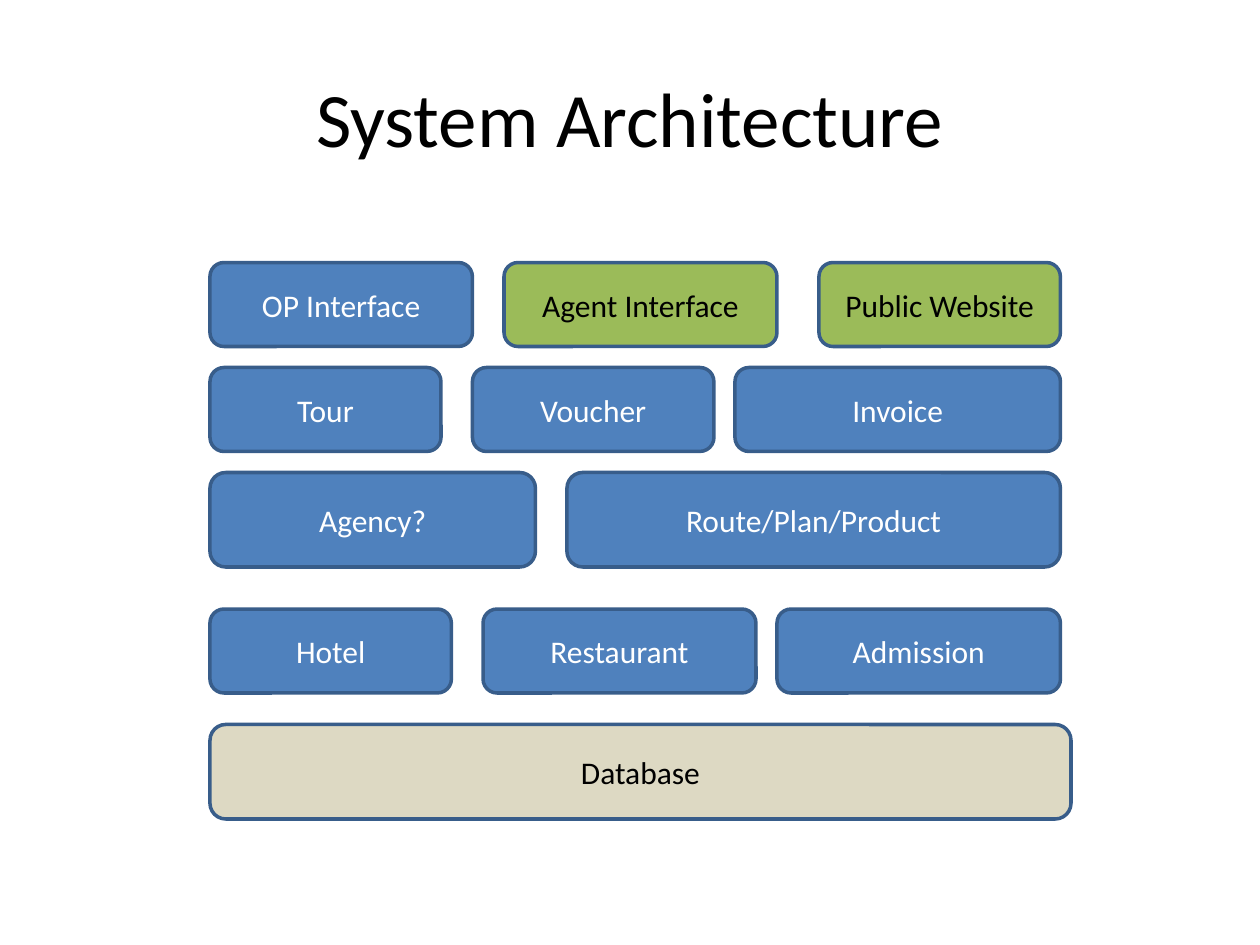
from pptx import Presentation
from pptx import util as u
from pptx.dml.color import RGBColor
from pptx.enum import shapes, text

BLUE = RGBColor(0x4F, 0x81, 0xBD)
GREEN = RGBColor(0x9B, 0xBB, 0x59)
TAN = RGBColor(0xDD, 0xD9, 0xC3)
OUTLINE = RGBColor(0x38, 0x5D, 0x8A)
BLACK = RGBColor(0, 0, 0)
WHITE = RGBColor(0xFF, 0xFF, 0xFF)

ROUNDED = shapes.MSO_SHAPE.ROUNDED_RECTANGLE
ALTERNATE = shapes.MSO_SHAPE.FLOWCHART_ALTERNATE_PROCESS

TITLE = "System Architecture"
LEFT = 120

# Layers from top to bottom: top, height, boxes as (label, gap before, width, fill)
LAYERS = [
    (150, 48, [("OP Interface", 0, 150, BLUE),
               ("Agent Interface", 18, 156, GREEN),
               ("Public Website", 24, 138, GREEN)]),
    (210, 48, [("Tour", 0, 132, BLUE),
               ("Voucher", 18, 138, BLUE),
               ("Invoice", 12, 186, BLUE)]),
    (270, 54, [("Agency?", 0, 186, BLUE),
               ("Route/Plan/Product", 18, 282, BLUE)]),
    (348, 48, [("Hotel", 0, 138, BLUE),
               ("Restaurant", 18, 156, BLUE),
               ("Admission", 12, 162, BLUE)]),
    (414, 54, [("Database", 0, 492, TAN)]),
]
SHAPE_KINDS = {"Agency?": ALTERNATE}


def write(shape, words, size=18, color=BLACK, font="Calibri"):
    frame = shape.text_frame
    frame.word_wrap = True
    frame.vertical_anchor = text.MSO_ANCHOR.MIDDLE
    para = frame.paragraphs[0]
    para.alignment = text.PP_ALIGN.CENTER
    span = para.add_run()
    span.text = words
    span.font.name = font
    span.font.size = u.Pt(size)
    span.font.color.rgb = color


def add_box(page, label, left, top, width, height, fill):
    box = page.shapes.add_shape(SHAPE_KINDS.get(label, ROUNDED), u.Pt(left),
                                u.Pt(top), u.Pt(width), u.Pt(height))
    box.shadow.inherit = False
    box.fill.solid()
    box.fill.fore_color.rgb = fill
    box.line.color.rgb = OUTLINE
    box.line.width = u.Pt(2)
    write(box, label, color=WHITE if fill == BLUE else BLACK)


def main():
    deck = Presentation()
    deck.slide_width, deck.slide_height = u.Pt(720), u.Pt(540)
    page = deck.slides.add_slide(deck.slide_layouts[6])

    # Title
    title = page.shapes.add_textbox(u.Pt(36), u.Pt(21.6), u.Pt(648), u.Pt(90))
    write(title, TITLE, size=44)

    # Layers, each filled from left to right
    for top, height, boxes in LAYERS:
        left = LEFT
        for label, gap, width, fill in boxes:
            left += gap
            add_box(page, label, left, top, width, height, fill)
            left += width

    deck.save("out.pptx")


if __name__ == "__main__":
    main()
